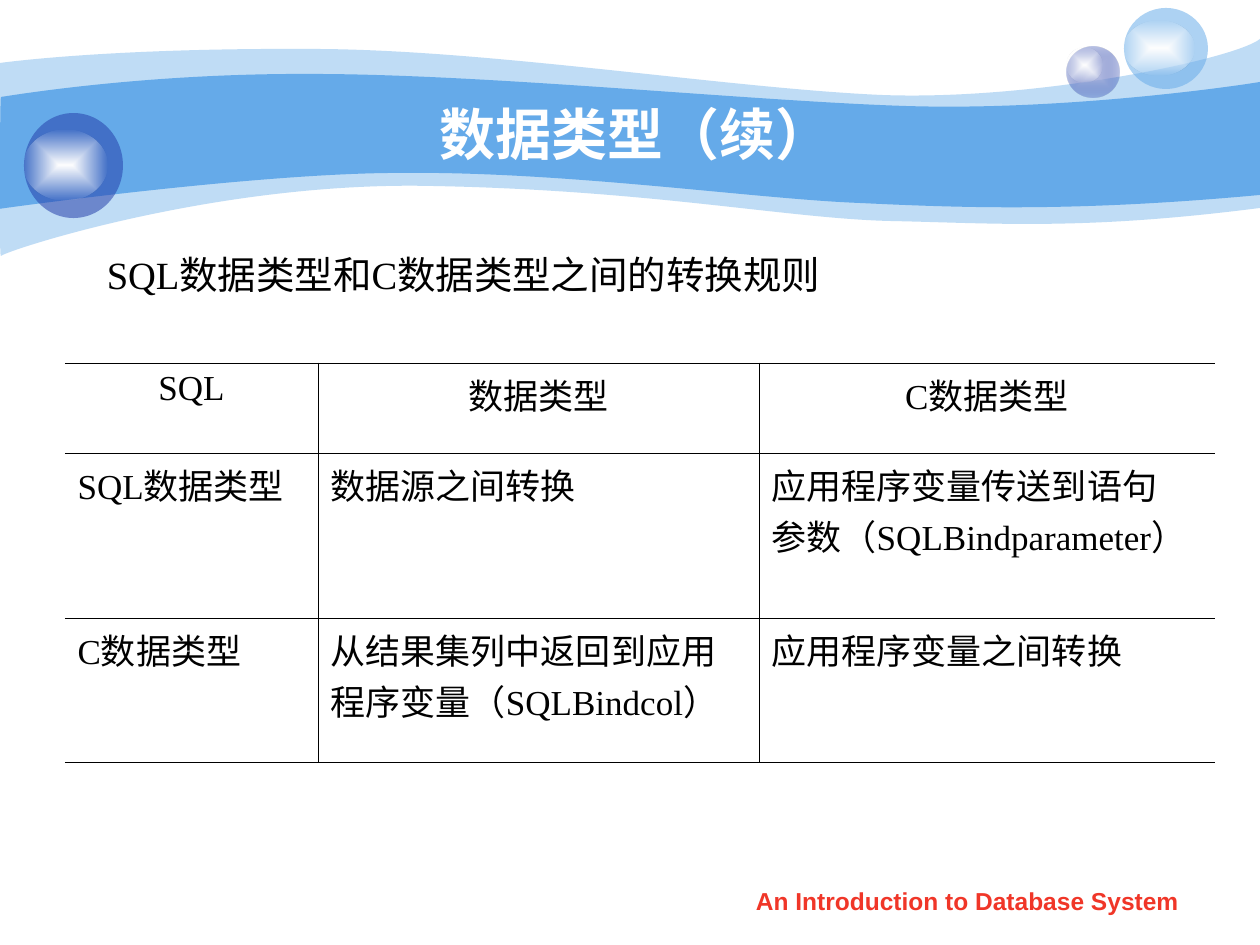
from lxml.etree import SubElement
from pptx import Presentation
from pptx.dml.color import RGBColor
from pptx.enum.shapes import MSO_SHAPE
from pptx.enum.text import MSO_ANCHOR, PP_ALIGN
from pptx.oxml import parse_xml
from pptx.oxml.ns import nsdecls, qn
from pptx.util import Inches, Pt

PX = 7257  # EMU per pixel, 126 pixels to the inch
HANGING = 48 * PX
BLACK = "000000"


def paint(shape, *stops):
    """Fill with one (colour, opacity %) or, with two, a gradient from the centre outwards."""
    shape.shadow.inherit = False
    shape.line.fill.background()
    colors = [f'<a:srgbClr val="{color}"><a:alpha val="{opacity * 1000}"/></a:srgbClr>'
              for color, opacity in stops]
    if len(colors) == 1:
        xml = f'<a:solidFill {nsdecls("a")}>{colors[0]}</a:solidFill>'
    else:
        xml = (f'<a:gradFill {nsdecls("a")} rotWithShape="1"><a:gsLst>'
               f'<a:gs pos="0">{colors[0]}</a:gs><a:gs pos="100000">{colors[1]}</a:gs></a:gsLst>'
               '<a:path path="rect"><a:fillToRect l="50000" t="50000" r="50000" b="50000"/></a:path>'
               '</a:gradFill>')
    properties = shape.element.spPr
    properties.insert(properties.index(properties.find(qn("a:ln"))), parse_xml(xml))


def write(frame, lines, size, font, color, align=PP_ALIGN.CENTER, bold=False, hanging=0):
    for number, line in enumerate(lines):
        para = frame.add_paragraph() if number else frame.paragraphs[0]
        para.text = line
        para.alignment = align
        para.font.size = Pt(size)
        para.font.name = font
        para.font.bold = bold
        para.font.color.rgb = RGBColor.from_string(color)
        if hanging:
            properties = para._p.get_or_add_pPr()
            properties.set("marL", str(hanging))
            properties.set("indent", str(-hanging))


deck = Presentation()
deck.slide_width, deck.slide_height = Inches(10), Inches(7.5)
page = deck.slides.add_slide(deck.slide_layouts[6])
shapes = page.shapes

# Waves: opacity, start, top edge, right-hand corner, bottom edge back to the start
waves = [
    (41, (0, 63),
     [(30, 59), (135, 48), (311, 49), (486, 49), (725, 88), (881, 95),
      (1036, 101), (1235, 59), (1260, 39)],
     (1260, 208),
     [(1081, 231), (992, 223), (888, 221), (784, 218), (649, 190), (432, 186),
      (217, 181), (5, 251), (1, 256), (-1, 262), (0, 95), (0, 63)]),
    (100, (1, 97),
     [(3, 97), (139, 73), (312, 74), (486, 74), (750, 101), (905, 106),
      (1060, 111), (1230, 87), (1260, 82)],
     (1260, 195),
     [(1075, 212), (964, 208), (859, 203), (755, 199), (563, 171), (399, 173),
      (256, 173), (-3, 209), (-1, 209), (0, 209), (0, 97), (1, 97)]),
]
for opacity, start, top_edge, corner, bottom_edge in waves:
    builder = shapes.build_freeform(*start, scale=PX)
    builder.add_line_segments([*top_edge, corner, *bottom_edge], close=True)
    wave = builder.convert_to_shape()
    paint(wave, ("65AAE9", opacity))
    # Merge every three points into a cubic curve; only the corner stays a line
    segments = list(wave.element.iter(qn("a:lnTo")))
    del segments[len(top_edge)]
    for first in range(0, len(segments), 3):
        controls = segments[first:first + 3]
        curve = parse_xml(f'<a:cubicBezTo {nsdecls("a")}/>')
        controls[0].addprevious(curve)
        for control in controls:
            curve.append(control[0])
            control.getparent().remove(control)

# Bubbles, each with a soft highlight
highlight = [("FFFFFF", 100), ("FEFEFE", 0)]
bubbles = [
    ((1067, 47, 53, 51), [("C6CCE8", 100), ("233DA9", 31)]),
    ((1067, 48, 36, 34), highlight),
    ((1124, 8, 84, 81), [("65AAE9", 53)]),
    ((1124, 21, 70, 54), highlight),
    ((24, 113, 99, 105), [("233DA9", 53)]),
    ((24, 130, 83, 70), highlight),
]
for place, stops in bubbles:
    bubble = shapes.add_shape(MSO_SHAPE.OVAL, *(length * PX for length in place))
    paint(bubble, *stops)

# Title, subtitle and footer
title = shapes.add_textbox(127 * PX, 94 * PX, 1018 * PX, 78 * PX).text_frame
title.word_wrap = True
title.vertical_anchor = MSO_ANCHOR.MIDDLE
write(title, ["数据类型（续）"], 32, "Arial", "FFFFFF", bold=True)

subtitle = shapes.add_textbox(33 * PX, 245 * PX, 861 * PX, 59 * PX).text_frame
subtitle.word_wrap = False
write(subtitle, ["SQL数据类型和C数据类型之间的转换规则"], 22, "Times New Roman", BLACK, hanging=HANGING)

footer = shapes.add_textbox(719 * PX, 880 * PX, 497 * PX, 44 * PX).text_frame
footer.word_wrap = True
write(footer, ["An Introduction to Database System"], 14, "Arial", "F03628", bold=True)

# Conversion table
rows = [
    [["SQL"], ["数据类型"], ["C数据类型"]],
    [["SQL数据类型"], ["数据源之间转换"],
     ["应用程序变量传送到语句", "参数（SQLBindparameter）"]],
    [["C数据类型"], ["从结果集列中返回到应用", "程序变量（SQLBindcol）"],
     ["应用程序变量之间转换"]],
]
widths, heights = [253, 441, 456], [90, 165, 144]
table = shapes.add_table(len(rows), len(widths), 65 * PX, 363 * PX,
                         sum(widths) * PX, sum(heights) * PX).table
table.first_row = table.horz_banding = False
for column, width in zip(table.columns, widths):
    column.width = width * PX
for row, height in zip(table.rows, heights):
    row.height = height * PX

for row_number, row in enumerate(rows):
    for column_number, lines in enumerate(row):
        cell = table.cell(row_number, column_number)
        cell.fill.background()
        align = PP_ALIGN.LEFT if row_number else PP_ALIGN.CENTER
        write(cell.text_frame, lines, 20, "Times New Roman", BLACK, align, hanging=HANGING)
        borders = {"lnL": column_number > 0, "lnR": column_number < len(row) - 1,
                   "lnT": True, "lnB": True}
        properties = cell._tc.get_or_add_tcPr()
        for position, (side, visible) in enumerate(borders.items()):
            border = parse_xml(f'<a:{side} {nsdecls("a")} w="{Pt(0.45)}"/>')
            if visible:
                SubElement(SubElement(border, qn("a:solidFill")), qn("a:srgbClr")).set("val", BLACK)
            else:
                SubElement(border, qn("a:noFill"))
            properties.insert(position, border)

deck.save("out.pptx")
